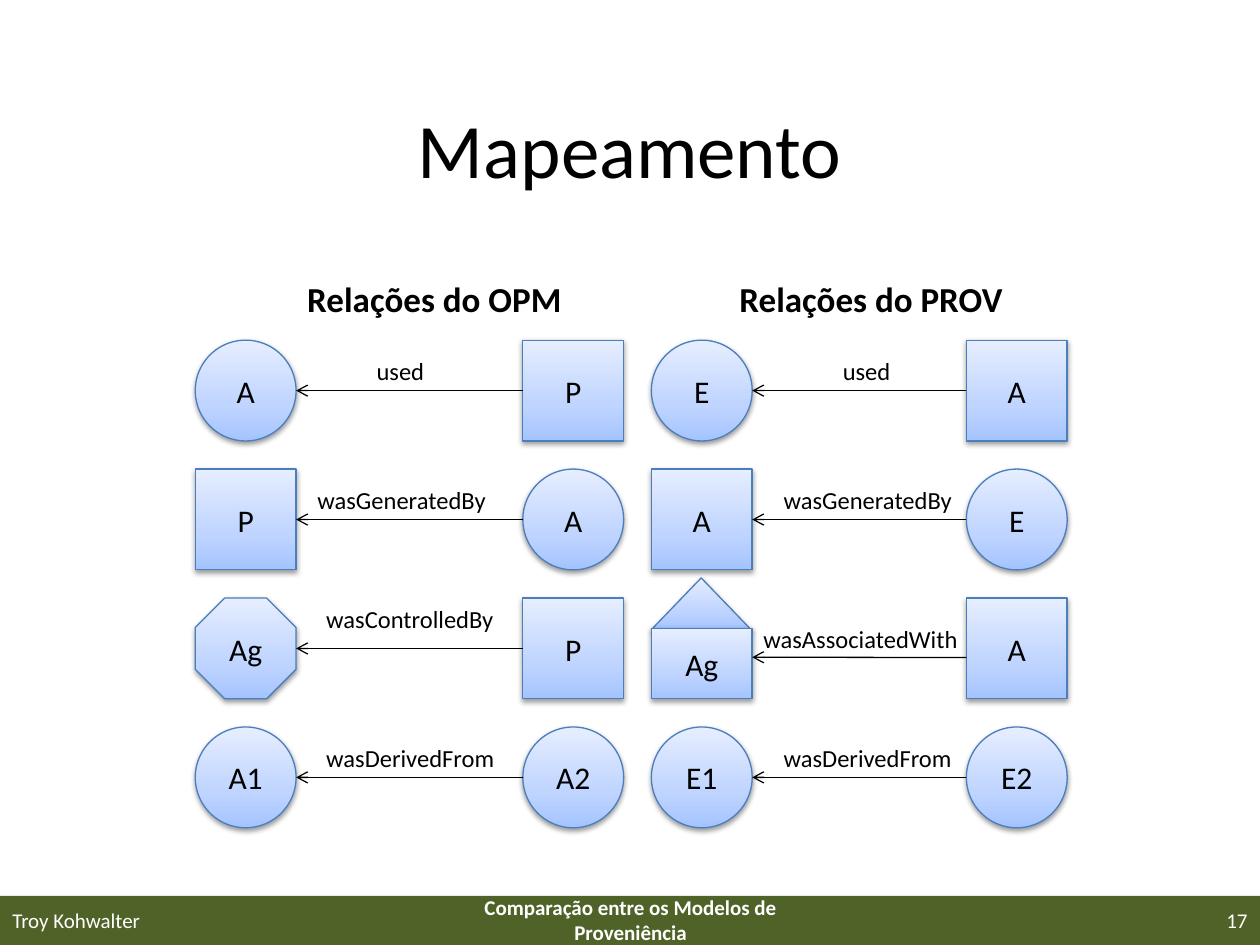
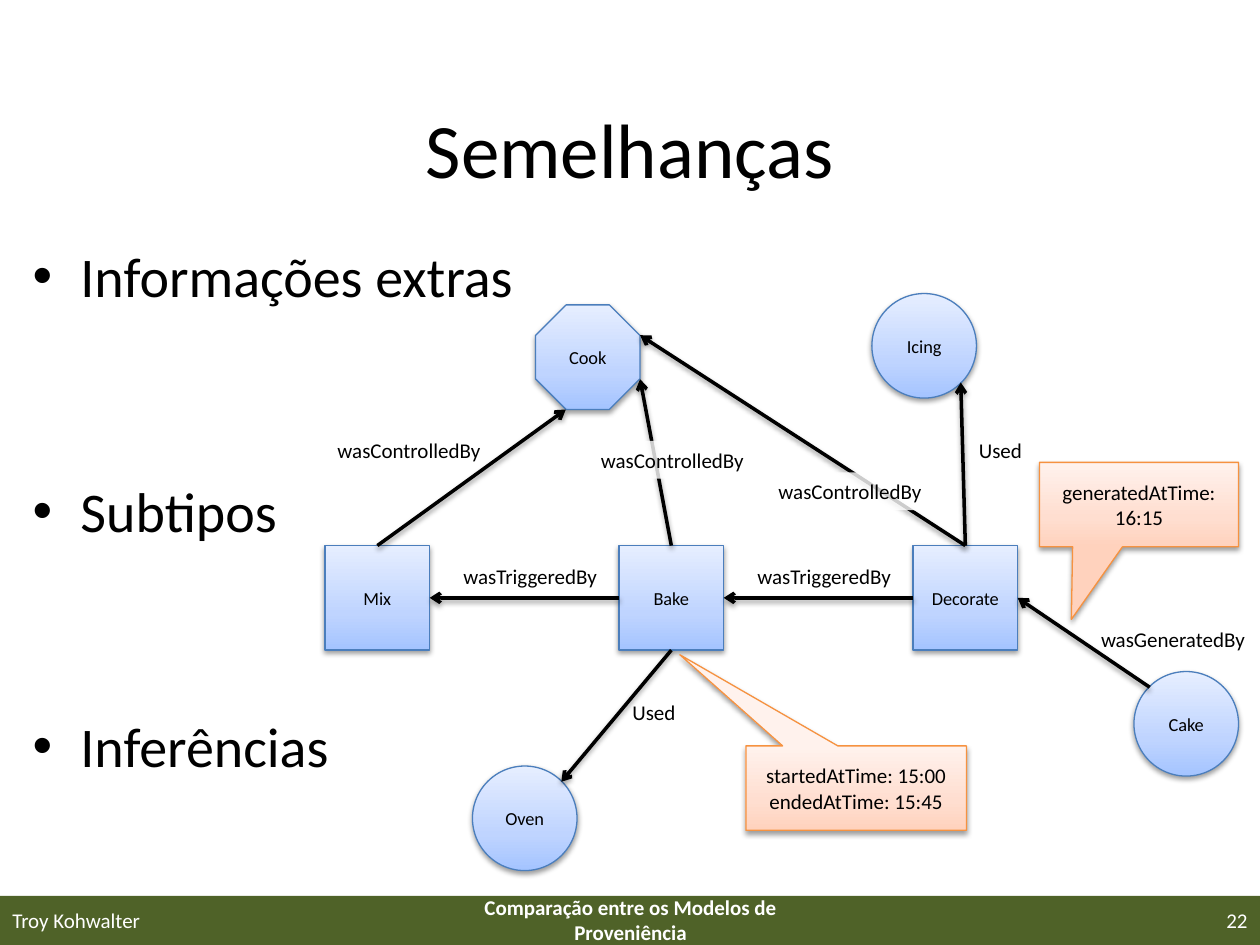
import lxml.etree
import pptx
import pptx.dml.color
import pptx.enum.shapes
import pptx.enum.text
import pptx.oxml.ns
import pptx.util

Inches = pptx.util.Inches
Pt = pptx.util.Pt
SHAPE = pptx.enum.shapes.MSO_SHAPE
ALIGN = pptx.enum.text.PP_ALIGN
ANCHOR = pptx.enum.text.MSO_ANCHOR
qn = pptx.oxml.ns.qn

FONT = "Calibri"
BLACK, WHITE, OLIVE = "000000", "FFFFFF", "4F6228"
BLUE = {"stops": [(0, "A4C4FF"), (35, "BFD4FF"), (100, "E6EEFF")], "line": "4B7EBC"}
ORANGE = {"stops": [(0, "FFD2BD"), (35, "FFDED0"), (100, "FFF2ED")], "line": "F69240"}

# Points on a node, as fractions of its width and height
TOP, LEFT, BOTTOM, RIGHT = (0.5, 0), (0, 0.5), (0.5, 1), (1, 0.5)
SIDES = [TOP, LEFT, BOTTOM, RIGHT]


def rgb(color):
    return pptx.dml.color.RGBColor.from_string(color)


def sub_element(parent, tag, **attributes):
    return lxml.etree.SubElement(parent, qn(tag), attributes)


def add_color(parent, color, alpha=None):
    element = sub_element(parent, "a:srgbClr", val=color)
    if alpha is not None:
        sub_element(element, "a:alpha", val=str(alpha * 1000))


def set_effects(shape, shadowed):
    """Append the effect list; call it after fill and line are set."""
    effects = sub_element(shape.element.spPr, "a:effectLst")
    if shadowed:
        shadow = sub_element(effects, "a:outerShdw", blurRad=str(Pt(3.1)),
                             dist=str(Pt(1.6)), dir="5400000", rotWithShape="0")
        add_color(shadow, BLACK, 38)


def write(shape, lines, size, color=BLACK, bold=False, align=ALIGN.LEFT):
    frame = shape.text_frame
    for index, line in enumerate(lines):
        paragraph = frame.paragraphs[0] if index == 0 else frame.add_paragraph()
        paragraph.alignment = align
        run = paragraph.add_run()
        run.text = line
        font = run.font
        font.name, font.size, font.bold = FONT, Pt(size), bold
        font.color.rgb = rgb(color)


def add_text(slide, box, lines, size, anchor=ANCHOR.TOP, wrap=True, **style):
    shape = slide.shapes.add_textbox(*map(Inches, box))
    shape.text_frame.word_wrap = wrap
    shape.text_frame.vertical_anchor = anchor
    write(shape, lines, size, **style)
    return shape


def add_label(slide, left, top, width, text, size, veiled=False):
    """Add a one-line arrow label, optionally on a translucent white ground."""
    height = 0.34 if size == 14 else 0.3
    label = add_text(slide, (left, top, width, height), [text], size, wrap=False)
    label.text_frame.auto_size = pptx.enum.text.MSO_AUTO_SIZE.SHAPE_TO_FIT_TEXT
    if veiled:
        label.fill.solid()
        label.fill.fore_color.rgb = rgb(WHITE)
        color = label.element.spPr.find(".//" + qn("a:srgbClr"))
        sub_element(color, "a:alpha", val="80000")


def add_node(slide, kind, box, lines, size, theme=BLUE):
    """Add a shadowed shape with a vertical gradient and centred text."""
    node = slide.shapes.add_shape(kind, *map(Inches, box))
    node.fill.gradient()
    node.fill.gradient_angle = 90
    stops = node.element.spPr.find(".//" + qn("a:gsLst"))
    for stop in list(stops):
        stops.remove(stop)
    for position, color in theme["stops"]:
        add_color(sub_element(stops, "a:gs", pos=str(position * 1000)), color)
    node.line.color.rgb = rgb(theme["line"])
    node.line.width = Pt(0.75)
    set_effects(node, True)
    node.text_frame.vertical_anchor = ANCHOR.MIDDLE
    write(node, lines, size, align=ALIGN.CENTER)
    return node


def point_on(node, spot):
    return (int(node.left + spot[0] * node.width), int(node.top + spot[1] * node.height))


def add_arrow(slide, source, source_spot, target, target_spot, width, shadowed=False):
    arrow = slide.shapes.add_connector(
        pptx.enum.shapes.MSO_CONNECTOR.STRAIGHT,
        *point_on(source, source_spot), *point_on(target, target_spot))
    for node, spot, connect in ((source, source_spot, arrow.begin_connect),
                                (target, target_spot, arrow.end_connect)):
        if node.auto_shape_type == SHAPE.RECTANGLE and spot in SIDES:
            connect(node, SIDES.index(spot))
    arrow.line.color.rgb = rgb(BLACK)
    arrow.line.width = Pt(width)
    sub_element(arrow.line._get_or_add_ln(), "a:tailEnd", type="arrow")
    set_effects(arrow, shadowed)


def add_frame(presentation, title, number):
    """Add a slide with the shared title and footer band."""
    slide = presentation.slides.add_slide(presentation.slide_layouts[6])
    band = slide.shapes.add_shape(SHAPE.RECTANGLE, *map(Inches, (0, 7.11, 10, 0.39)))
    band.shadow.inherit = False
    band.fill.solid()
    band.fill.fore_color.rgb = rgb(OLIVE)
    band.line.fill.background()
    add_text(slide, (0.5, 0.55, 9, 1.25), [title], 44, ANCHOR.MIDDLE, align=ALIGN.CENTER)
    for left, width, text, align, bold in (
            (0, 2.33, "Troy Kohwalter", ALIGN.LEFT, False),
            (3.42, 3.17, "Comparação entre os Modelos de Proveniência", ALIGN.CENTER, True),
            (7.67, 2.33, str(number), ALIGN.RIGHT, False)):
        add_text(slide, (left, 7.1, width, 0.4), [text], 12, ANCHOR.MIDDLE,
                 color=WHITE, bold=bold, align=align)
    return slide


def add_relation_column(slide, left, top, span, heading, heading_left, relations):
    """Stack relations; each arrow runs from the right node to the left one."""
    side, pitch = 0.8, (5.77 - 2.7) / 3
    add_label(slide, left + heading_left, top - 0.55, 2.3, heading, 20)
    slide.shapes[-1].text_frame.paragraphs[0].runs[0].font.bold = True
    for row, relation in enumerate(relations):
        target_kind, target_text, source_kind, source_text, name, label_at, label_width = relation
        y = top + row * pitch
        source = add_node(slide, source_kind, (left + span, y, side, side), [source_text], 18)
        if target_kind == "house":
            add_node(slide, SHAPE.ISOSCELES_TRIANGLE, (left, y - 0.16, 0.79, 0.41), [], 18)
            target = add_node(slide, SHAPE.RECTANGLE, (left, y + 0.24, side, 0.56),
                              [target_text], 18)
            spots = (0, 0.59), (1, 0.41)
        else:
            target = add_node(slide, target_kind, (left, y, side, side), [target_text], 18)
            spots = LEFT, RIGHT
        add_arrow(slide, source, spots[0], target, spots[1], 0.75)
        add_label(slide, left + label_at[0], y + label_at[1], label_width, name, 14)


def build_mapping(presentation):
    slide = add_frame(presentation, "Mapeamento", 17)
    circle, square = SHAPE.OVAL, SHAPE.RECTANGLE
    add_relation_column(slide, 1.55, 2.7, 2.6, "Relações do OPM", 0.79, [
        (circle, "A", square, "P", "used", (1.34, 0.08), 0.58),
        (square, "P", circle, "A", "wasGeneratedBy", (0.87, 0.08), 1.55),
        (SHAPE.OCTAGON, "Ag", square, "P", "wasControlledBy", (0.94, 0), 1.55),
        (circle, "A1", circle, "A2", "wasDerivedFrom", (0.94, 0.08), 1.55),
    ])
    add_relation_column(slide, 5.17, 2.7, 2.5, "Relações do PROV", 0.6, [
        (circle, "E", square, "A", "used", (1.42, 0.08), 0.58),
        (square, "A", circle, "E", "wasGeneratedBy", (0.95, 0.08), 1.55),
        ("house", "Ag", square, "A", "wasAssociatedWith", (0.79, 0.16), 1.75),
        (circle, "E1", circle, "E2", "wasDerivedFrom", (0.95, 0.08), 1.55),
    ])


def add_bullets(slide, box, items):
    body = add_text(slide, box, items, 32)
    for index, paragraph in enumerate(body.text_frame.paragraphs):
        properties = paragraph._p.get_or_add_pPr()
        properties.set("marL", str(Inches(0.38)))
        properties.set("indent", str(Inches(-0.38)))
        sub_element(properties, "a:buFont", typeface="Arial")
        sub_element(properties, "a:buChar", char="•")
        if index:
            paragraph.space_before = Pt(95.8)


def add_cake_graph(slide, left, top):
    side, step = 0.83, 7 / 3
    places = {
        "Cook": (SHAPE.OCTAGON, 1.67, 0.09),
        "Icing": (SHAPE.OVAL, 4.34, 0),
        "Oven": (SHAPE.OVAL, 1.17, 3.75),
        "Cake": (SHAPE.OVAL, 6.42, 3),
    }
    for column, name in enumerate(("Mix", "Bake", "Decorate")):
        places[name] = (SHAPE.RECTANGLE, column * step, 2)
    nodes = {name: add_node(slide, kind, (left + x, top + y, side, side), [name], 10.5)
             for name, (kind, x, y) in places.items()}

    for source, source_spot, target, target_spot in (
            ("Cake", (0.15, 0.15), "Decorate", RIGHT),
            ("Bake", LEFT, "Mix", RIGHT),
            ("Decorate", LEFT, "Bake", RIGHT),
            ("Mix", TOP, "Cook", (0.29, 1)),
            ("Bake", TOP, "Cook", (1, 0.71)),
            ("Decorate", TOP, "Cook", (1, 0.29)),
            ("Decorate", TOP, "Icing", (0.85, 0.85)),
            ("Bake", BOTTOM, "Oven", (0.85, 0.15))):
        add_arrow(slide, nodes[source], source_spot, nodes[target], target_spot, 2, True)

    for text, x, y, width, veiled in (
            ("wasTriggeredBy", 1, 2.09, 1.27, True),
            ("wasTriggeredBy", 1 + step, 2.09, 1.27, True),
            ("wasControlledBy", 0, 1.09, 1.35, False),
            ("wasControlledBy", 2.09, 1.17, 1.35, True),
            ("wasControlledBy", 3.5, 1.42, 1.35, True),
            ("wasGeneratedBy", 6.06, 2.59, 1.36, False),
            ("Used", 5.09, 1.09, 0.55, False),
            ("Used", 2.34, 3.17, 0.55, False)):
        add_label(slide, left + x, top + y, width, text, 12, veiled)

    for lines, x, y, width, tip in (
            (["startedAtTime: 15:00", "endedAtTime: 15:45"], 3.34, 3.59, 1.75, (-0.8, -1.58)),
            (["generatedAtTime: 16:15"], 5.67, 1.34, 1.58, (-0.34, 1.36))):
        callout = add_node(slide, SHAPE.RECTANGULAR_CALLOUT,
                           (left + x, top + y, width, 0.67), lines, 12, ORANGE)
        callout.adjustments[0], callout.adjustments[1] = tip


def build_similarities(presentation):
    slide = add_frame(presentation, "Semelhanças", 22)
    add_bullets(slide, (0.16, 1.87, 9.69, 5.16),
                ["Informações extras", "Subtipos", "Inferências"])
    add_cake_graph(slide, 2.58, 2.33)


def main():
    presentation = pptx.Presentation()
    presentation.slide_width, presentation.slide_height = Inches(10), Inches(7.5)
    build_mapping(presentation)
    build_similarities(presentation)
    presentation.save("out.pptx")


if __name__ == "__main__":
    main()
